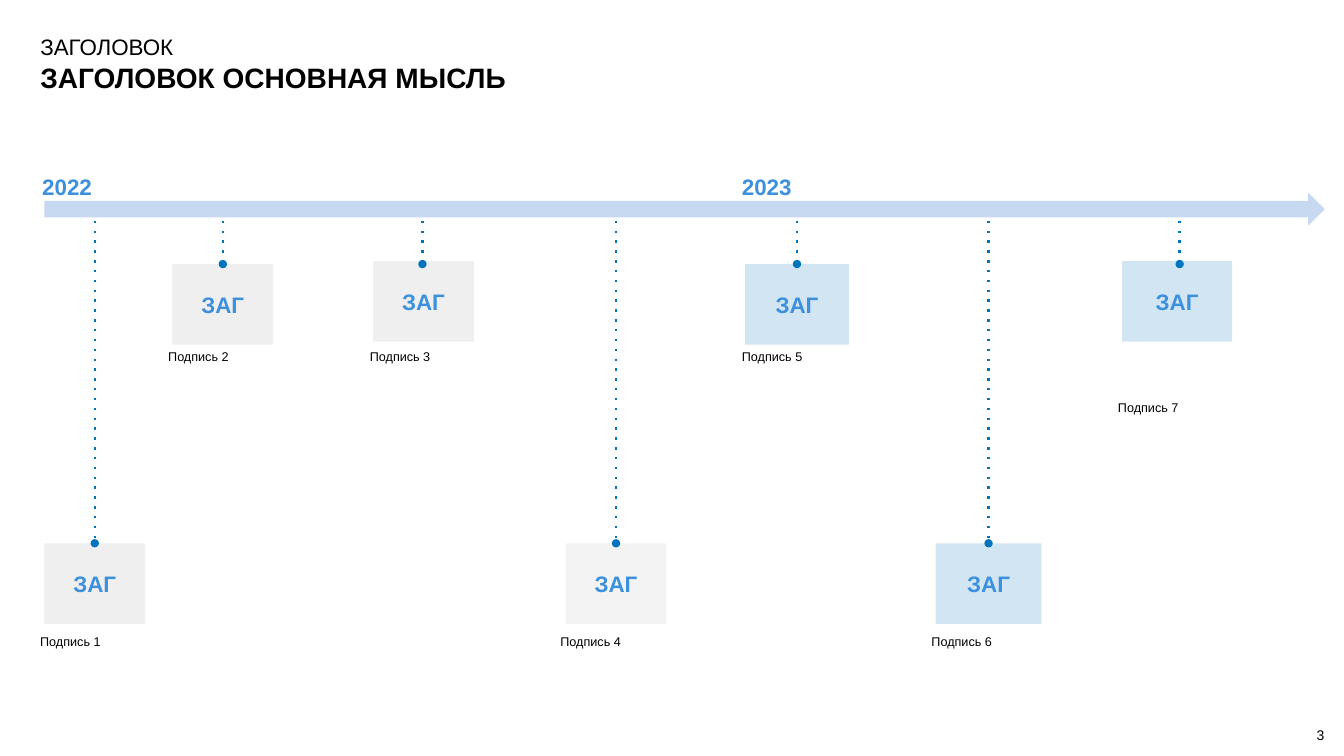
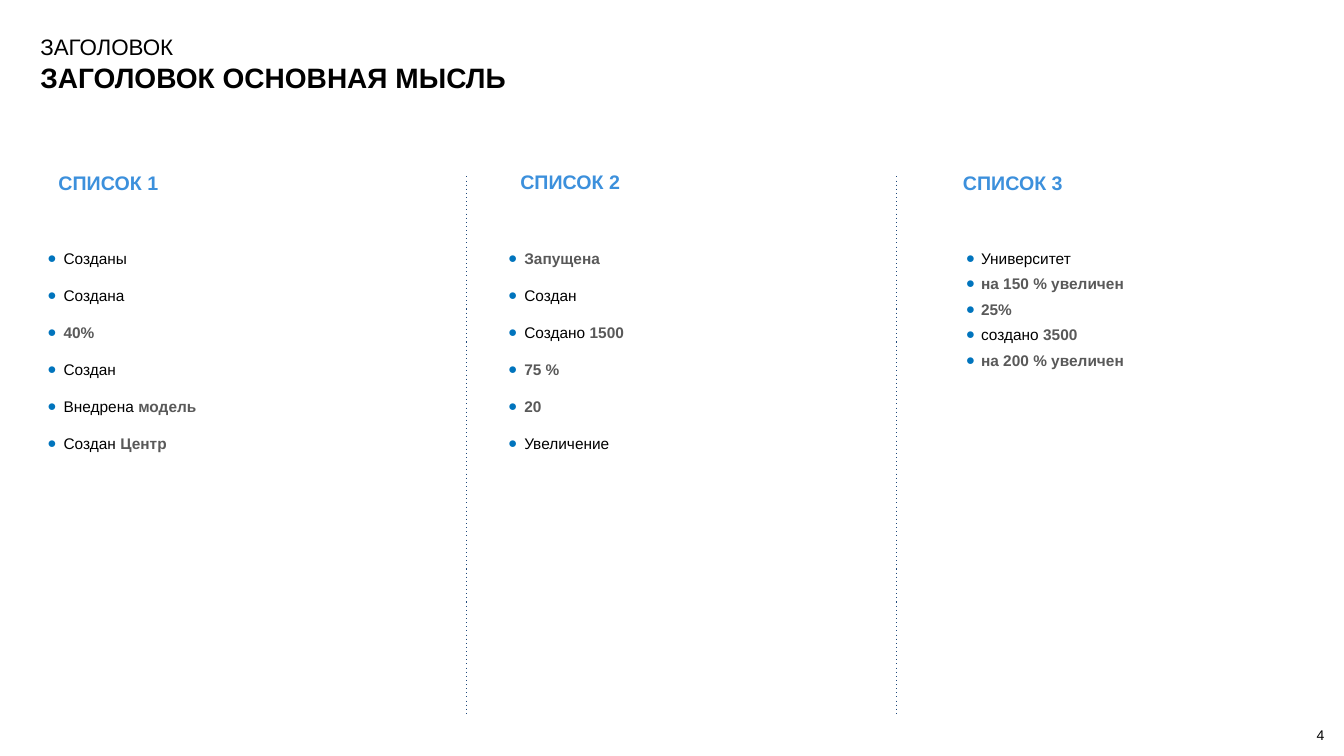
from dataclasses import dataclass

from lxml import etree
from pptx import Presentation
from pptx.dml.color import RGBColor
from pptx.enum.shapes import MSO_CONNECTOR, MSO_SHAPE
from pptx.enum.text import MSO_ANCHOR, MSO_AUTO_SIZE, PP_ALIGN
from pptx.oxml.ns import qn
from pptx.util import Pt

PX = 9144  # one hundredth of an inch


@dataclass(frozen=True)
class Theme:
    font: str = "Arial"
    black: RGBColor = RGBColor.from_string("000000")
    accent: RGBColor = RGBColor.from_string("3C90DC")
    emphasis: RGBColor = RGBColor.from_string("595959")
    band: RGBColor = RGBColor.from_string("C6D9F1")
    grey: RGBColor = RGBColor.from_string("EFEFEF")
    pale: RGBColor = RGBColor.from_string("F3F3F3")
    tint: RGBColor = RGBColor.from_string("0070C0")
    tint_alpha: int = 18
    dots: RGBColor = RGBColor.from_string("0074BD")
    divider: RGBColor = RGBColor.from_string("1F497D")
    title: int = 20
    label: int = 16
    heading: int = 14
    bullet: int = 11
    number: int = 10
    caption: int = 9


theme = Theme()


def add_label(slide, frame, text, size, color=theme.black, bold=False,
              inset=(10, 10), anchor=MSO_ANCHOR.TOP):
    box = slide.shapes.add_textbox(*(n * PX for n in frame))
    body = box.text_frame
    body.word_wrap = True
    body.vertical_anchor = anchor
    body.margin_left = body.margin_right = inset[0] * PX
    body.margin_top = body.margin_bottom = inset[1] * PX
    body.text = text
    font = body.paragraphs[0].font
    font.name, font.size, font.bold = theme.font, Pt(size), bold
    font.color.rgb = color


def add_dotted_line(slide, x, top, bottom, color, width):
    line = slide.shapes.add_connector(
        MSO_CONNECTOR.STRAIGHT, x * PX, top * PX, x * PX, bottom * PX)
    line.line.color.rgb = color
    line.line.width = Pt(width)
    properties = line._element.spPr
    outline = properties.find(qn("a:ln"))
    etree.SubElement(outline, qn("a:prstDash"), val="dot")
    etree.SubElement(properties, qn("a:effectLst"))
    return line


deck = Presentation()
deck.slide_width, deck.slide_height = 1333 * PX, 750 * PX
timeline = deck.slides.add_slide(deck.slide_layouts.get_by_name("Title Only"))
lists = deck.slides.add_slide(deck.slide_layouts.get_by_name("Comparison"))

# Titles and page numbers
for number, page in enumerate((timeline, lists), start=3):
    title = page.shapes.title
    title.left, title.top, title.width, title.height = (
        n * PX for n in (30, 23, 628, 81))
    body = title.text_frame
    body.text = "ЗАГОЛОВОК\nЗАГОЛОВОК ОСНОВНАЯ МЫСЛЬ"
    body.auto_size = MSO_AUTO_SIZE.NONE
    body.vertical_anchor = MSO_ANCHOR.TOP
    body.margin_left = body.margin_right = 10 * PX
    body.margin_top = body.margin_bottom = 10 * PX
    for para, size, bold in zip(body.paragraphs, (theme.label, theme.title), (False, True)):
        para.alignment = PP_ALIGN.LEFT
        para.font.name, para.font.size, para.font.bold = theme.font, Pt(size), bold
        para.font.color.rgb = theme.black
    add_label(page, (1298, 709, 34, 41), str(number), theme.number,
              inset=(8, 4), anchor=MSO_ANCHOR.MIDDLE)

# Time arrow and years
arrow = timeline.shapes.add_shape(
    MSO_SHAPE.RIGHT_ARROW, 44 * PX, 191 * PX, 1270 * PX, 33 * PX)
arrow.shadow.inherit = False
arrow.fill.solid()
arrow.fill.fore_color.rgb = theme.band
arrow.line.fill.background()
for year, left in (("2022", 32), ("2023", 726)):
    add_label(timeline, (left, 143, 106, 84), year, theme.label, theme.accent,
              bold=True, anchor=MSO_ANCHOR.MIDDLE)

# Milestones: box left, top, width, fill; stem x, bottom; caption left, top, width
milestones = [
    (44, 539, 100, theme.grey, 94, 539, 30, 621, 441),
    (171, 262, 100, theme.grey, 219, 262, 157, 339, 203),
    (370, 259, 100, theme.grey, 419, 262, 357, 339, 244),
    (561, 539, 100, theme.pale, 610, 539, 546, 621, 291),
    (739, 262, 103, theme.tint, 789, 262, 726, 339, 216),
    (928, 539, 105, theme.tint, 980, 539, 914, 621, 288),
    (1113, 259, 109, theme.tint, 1170, 262, 1099, 389, 237),
]
for index, (left, top, width, fill, stem_x, stem_end,
            caption_left, caption_top, caption_width) in enumerate(milestones, start=1):
    box = timeline.shapes.add_shape(
        MSO_SHAPE.RECTANGLE, left * PX, top * PX, width * PX, 80 * PX)
    box.shadow.inherit = False
    box.fill.solid()
    box.fill.fore_color.rgb = fill
    if fill == theme.tint:
        color = box._element.spPr.find(qn("a:solidFill"))[0]
        etree.SubElement(color, qn("a:alpha"), val=str(theme.tint_alpha * 1000))
    box.line.fill.background()
    box.text_frame.text = "ЗАГ"
    box.text_frame.vertical_anchor = MSO_ANCHOR.MIDDLE
    para = box.text_frame.paragraphs[0]
    para.alignment = PP_ALIGN.CENTER
    para.font.name, para.font.size, para.font.bold = theme.font, Pt(theme.label), True
    para.font.color.rgb = theme.accent

    stem = add_dotted_line(timeline, stem_x, 219, stem_end, theme.dots, 1.75)
    etree.SubElement(stem._element.spPr.find(qn("a:ln")), qn("a:tailEnd"), type="oval")
    if stem_end == top:
        stem.begin_x = box.left + box.width // 2
        stem.end_connect(box, 0)

    add_label(timeline, (caption_left, caption_top, caption_width, 35),
              f"Подпись {index}", theme.caption)

# Lists: heading frame, list frame, indent, gap, items as (plain, emphasised)
columns = [
    ((51, 166, 130, 62), (4, 237, 426, 224), 49, 13.2,
     [("Созданы", ""), ("Создана", ""), ("", "40%"), ("Создан", ""),
      ("Внедрена ", "модель"), ("Создан ", "Центр")]),
    ((509, 165, 221, 62), (461, 237, 444, 224), 49, 13.2,
     [("", "Запущена"), ("Создан", ""), ("Создано ", "1500"), ("", "75 %"),
      ("", "20"), ("Увеличение", "")]),
    ((948, 166, 221, 62), (948, 237, 377, 148), 15, 5,
     [("Университет", ""), ("", "на 150 % увеличен"), ("", "25%"),
      ("создано ", "3500"), ("", "на 200 % увеличен")]),
]
for index, (heading_frame, list_frame, indent, gap, items) in enumerate(columns, start=1):
    add_label(lists, heading_frame, f"СПИСОК {index}", theme.heading, theme.accent,
              bold=True, inset=(7, 4))
    holder = lists.placeholders[index]
    holder.left, holder.top, holder.width, holder.height = (n * PX for n in list_frame)
    body = holder.text_frame
    body.auto_size = MSO_AUTO_SIZE.NONE
    body.vertical_anchor = MSO_ANCHOR.TOP
    body.margin_left = body.margin_right = 10 * PX
    body.margin_top = body.margin_bottom = 10 * PX
    for position, item in enumerate(items):
        para = body.paragraphs[0] if position == 0 else body.add_paragraph()
        para.space_before, para.space_after = Pt(0), Pt(gap)
        para.font.name, para.font.size = theme.font, Pt(theme.bullet)
        settings = para._p.get_or_add_pPr()
        settings.set("marL", str(indent * PX))
        settings.set("indent", str(-16 * PX))
        bullet_color = etree.Element(qn("a:buClr"))
        etree.SubElement(bullet_color, qn("a:srgbClr"), val=str(theme.dots))
        bullet_font = etree.Element(qn("a:buFont"), typeface=theme.font)
        bullet_char = etree.Element(qn("a:buChar"), char="●")
        for offset, part in enumerate((bullet_color, bullet_font, bullet_char)):
            settings.insert(2 + offset, part)
        for text, bold, color in zip(item, (False, True), (theme.black, theme.emphasis)):
            if text:
                span = para.add_run()
                span.text = text
                span.font.bold = bold
                span.font.color.rgb = color

# Unused placeholder
spare = lists.placeholders[4]._element
spare.getparent().remove(spare)

# Column dividers
for x in (463, 889):
    add_dotted_line(lists, x, 175, 709, theme.divider, 0.75)

deck.save("out.pptx")
